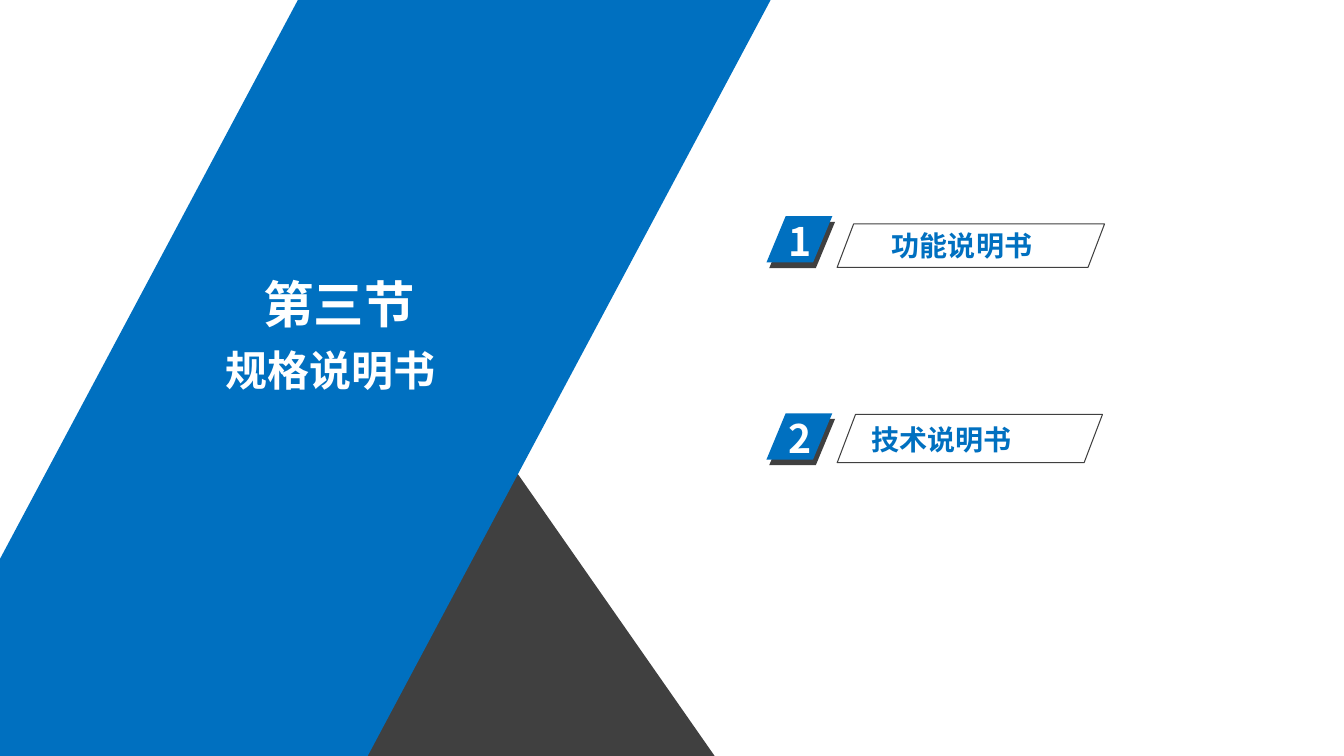
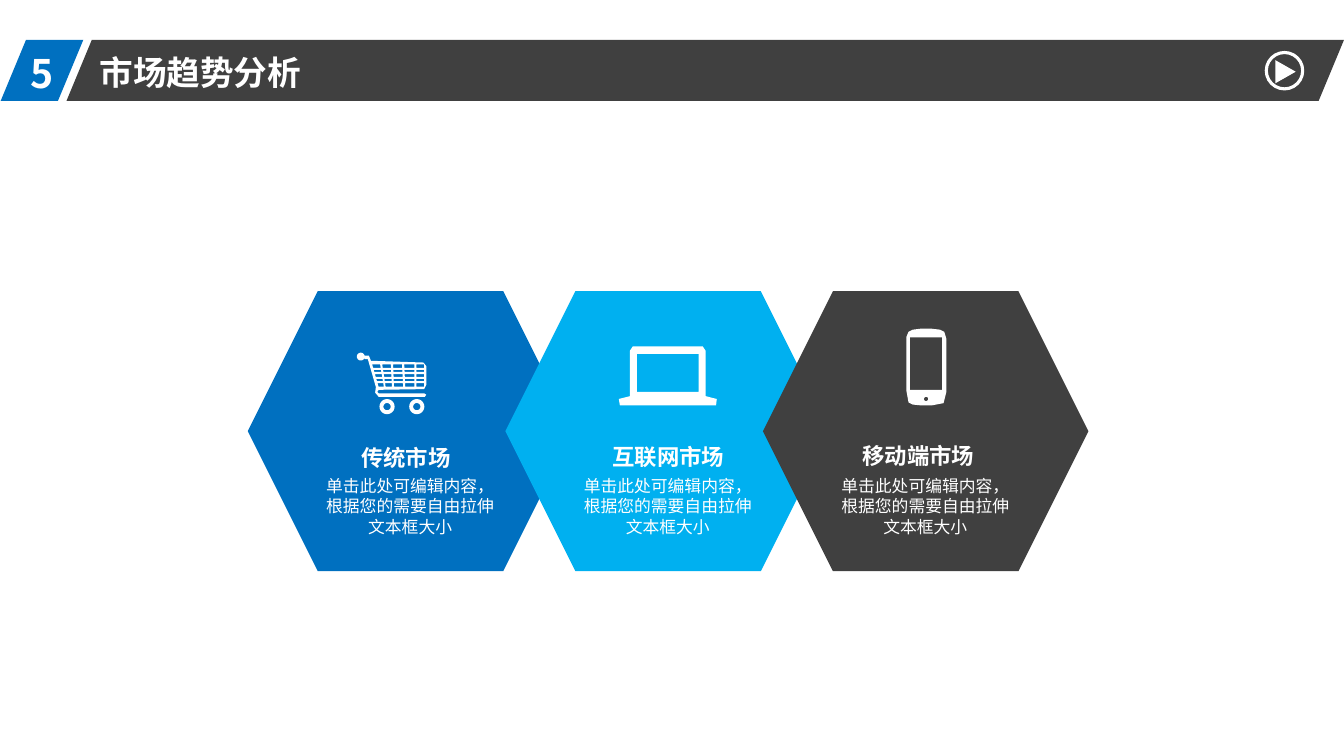
import math

from lxml import etree
from pptx import Presentation
from pptx.dml.color import RGBColor
from pptx.enum.shapes import MSO_SHAPE
from pptx.enum.text import MSO_ANCHOR, PP_ALIGN
from pptx.oxml.ns import qn
from pptx.util import Pt

COLORS = {"blue": "0070C0", "sky": "00B0F0", "dark": "404040", "white": "FFFFFF"}
CJK, LATIN = "Noto Sans CJK SC", "Arial"
SLANTED = MSO_SHAPE.PARALLELOGRAM
HEXAGON = MSO_SHAPE.HEXAGON
OVAL = MSO_SHAPE.OVAL
TRIANGLE = MSO_SHAPE.ISOSCELES_TRIANGLE
LEFT, CENTER = PP_ALIGN.LEFT, PP_ALIGN.CENTER
TOP = MSO_ANCHOR.TOP

SLIDE_W, SLIDE_H = 960, 540
SLANT = 0.415
BODY = "单击此处可编辑内容，根据您的需要自由拉伸文本框大小"


def rgb(name):
    return RGBColor.from_string(COLORS[name])


def paint(sp, fill=None, line=None, width=0.75):
    sp.shadow.inherit = False
    if fill:
        sp.fill.solid()
        sp.fill.fore_color.rgb = rgb(fill)
    else:
        sp.fill.background()
    if line:
        sp.line.color.rgb = rgb(line)
        sp.line.width = Pt(width)
    else:
        sp.line.fill.background()
    return sp


def add_shape(s, kind, x, y, w, h, fill=None, line=None, width=0.75, adj=None):
    sp = s.shapes.add_shape(kind, Pt(x), Pt(y), Pt(w), Pt(h))
    if adj is not None:
        sp.adjustments[0] = adj
    return paint(sp, fill, line, width)


def add_outline(s, contours, fill):
    """Draw closed contours as one shape; inner contours become holes."""
    contours = [[(Pt(x), Pt(y)) for x, y in points] for points in contours]
    builder = s.shapes.build_freeform(*contours[0][0])
    builder.add_line_segments(contours[0][1:])
    for first, *rest in contours[1:]:
        builder.move_to(*first)
        builder.add_line_segments(rest)
    return paint(builder.convert_to_shape(), fill)


def add_text(s, text, x, y, w, h, size, color="white", bold=True,
             align=LEFT, font=CJK, inset=True):
    sp = s.shapes.add_textbox(Pt(x), Pt(y), Pt(w), Pt(h))
    tf = sp.text_frame
    tf.word_wrap = True
    tf.vertical_anchor = TOP
    if not inset:
        tf.margin_left = tf.margin_right = tf.margin_top = tf.margin_bottom = 0
    p = tf.paragraphs[0]
    p.text = text
    p.alignment = align
    p.font.name = font
    p.font.size = Pt(size)
    p.font.bold = bold
    p.font.color.rgb = rgb(color)
    east_asian = etree.SubElement(p._p.pPr.find(qn("a:defRPr")), qn("a:ea"))
    east_asian.set("typeface", font)


def box(left, top, right, bottom):
    return [(left, top), (right, top), (right, bottom), (left, bottom)]


def circle(cx, cy, radius, steps=24):
    angles = [2 * math.pi * i / steps for i in range(steps)]
    return [(cx + radius * math.cos(a), cy + radius * math.sin(a)) for a in angles]


def add_number(s, text, x, y):
    add_text(s, text, x, y, 50, 41, 28)


def add_agenda_item(s, number, y):
    for dx, dy, fill in ((2, 4, "dark"), (0, 0, "blue")):
        add_shape(s, SLANTED, 547.5 + dx, y + dy, 47, 33, fill, adj=SLANT)
    add_number(s, number, 556, y - 2.5)


def add_agenda_label(s, text, y, w, h, text_x, text_y):
    add_shape(s, SLANTED, 598, y, w, h, line="dark", adj=0.38)
    add_text(s, text, text_x, text_y, 218, 31.5, 20, "blue")


def add_header(s, number, title):
    add_shape(s, SLANTED, 47.5, 28.5, 912.5, 43.5, "dark", adj=SLANT)
    add_shape(s, SLANTED, 0.5, 28.5, 59, 43.5, "blue", adj=SLANT)
    add_number(s, number, 14.5, 31.5)
    add_text(s, title, 64, 33.5, 197, 36.5, 24)
    add_shape(s, OVAL, 904.5, 37.5, 26, 26, line="white", width=2.25)
    add_shape(s, TRIANGLE, 910, 44, 16.5, 14.5, "white").rotation = 90


def add_cart(s):
    frame = [(260.5, 254), (263.5, 254), (265, 257.75), (302.5, 259), (304.5, 261.5),
             (304.5, 275), (303, 278), (270.5, 278.5), (269.5, 280), (270.5, 281),
             (303, 281), (304.5, 282), (303.5, 283.5), (270.5, 283.5), (268, 280.5),
             (268.5, 276.5), (262.75, 256.5), (260.5, 256.5)]
    top, bottom = 260, 276.5
    rows = [(260.25, 262.75), (264.25, 265.75), (267.25, 269.25),
            (270.75, 272.25), (273.75, 276.25)]
    # Each column: left and right edge at the top, then at the bottom
    columns = [(265.75, 271.5, 270.5, 274.25), (273, 279.25, 275.5, 280),
               (280.75, 287.25, 281.5, 288), (288.75, 296, 289.5, 296),
               (297.5, 303, 297.5, 303)]

    def edge(upper, lower, y):
        return upper + (lower - upper) * (y - top) / (bottom - top), y

    mesh = [[edge(l1, l2, y1), edge(r1, r2, y1), edge(r1, r2, y2), edge(l1, l2, y2)]
            for l1, r1, l2, r2 in columns for y1, y2 in rows]
    wheels = [circle(cx, 290.5, radius) for cx in (276.5, 297.75) for radius in (5.4, 2.6)]
    add_outline(s, [frame, *mesh, circle(257.75, 254.75, 2.8), *wheels], "white")


def add_laptop(s):
    body = [(504, 283), (504, 250.5), (502, 247.5), (452, 247.5), (450, 250.5),
            (450, 283), (442, 285), (442.75, 289.5), (511.5, 289.5), (512, 285)]
    add_outline(s, [body, box(455, 252.75, 499, 280)], "white")


def add_phone(s):
    body = [(676, 242), (674.5, 237), (671.5, 235.5), (665, 234.75), (658, 234.75),
            (652, 235.5), (649, 237), (647.5, 240.5), (647.5, 279.5), (649, 287.5),
            (652, 289), (657, 289.5), (666, 289.5), (674, 288), (676, 280)]
    screen = box(650, 241, 673, 278.5)
    add_outline(s, [body, screen, circle(661.5, 285, 1.5)], "white")


def build_section(s):
    add_outline(s, [[(257, SLIDE_H), (366, 333), (510.5, SLIDE_H)]], "dark")
    add_shape(s, SLANTED, -75, 0, 625.5, SLIDE_H, "blue", adj=0.533)
    add_text(s, "第三节", 181, 191.5, 130, 51, 36)
    add_text(s, "规格说明书", 100.5, 242.5, 271.5, 43.5, 30, align=CENTER)
    add_agenda_item(s, "1", 154.5)
    add_agenda_item(s, "2", 295.25)
    add_agenda_label(s, "功能说明书", 160, 191, 31, 630, 160)
    add_agenda_label(s, "技术说明书", 296, 189.5, 34.5, 615.5, 298.5)


def build_markets(s):
    add_header(s, "5", "市场趋势分析")
    markets = [("传统市场", "blue", 290, 317, add_cart),
               ("互联网市场", "sky", 477.5, 316.5, add_laptop),
               ("移动端市场", "dark", 656, 316, add_phone)]
    for i, (name, fill, center, y, add_icon) in enumerate(markets):
        offset = 184 * i
        add_shape(s, HEXAGON, 177 + offset, 208, 232.5, 200, fill, adj=0.25)
        add_icon(s)
        add_text(s, name, center - 50, y, 100, 19.5, 16,
                 align=CENTER, font=LATIN, inset=False)
        add_text(s, BODY, 230 + offset, 340, 126, 44, 12, bold=False,
                 align=CENTER, font=LATIN, inset=False)


def main():
    prs = Presentation()
    prs.slide_width, prs.slide_height = Pt(SLIDE_W), Pt(SLIDE_H)
    blank = prs.slide_layouts[6]
    for build in (build_section, build_markets):
        build(prs.slides.add_slide(blank))
    prs.save("out.pptx")


if __name__ == "__main__":
    main()
